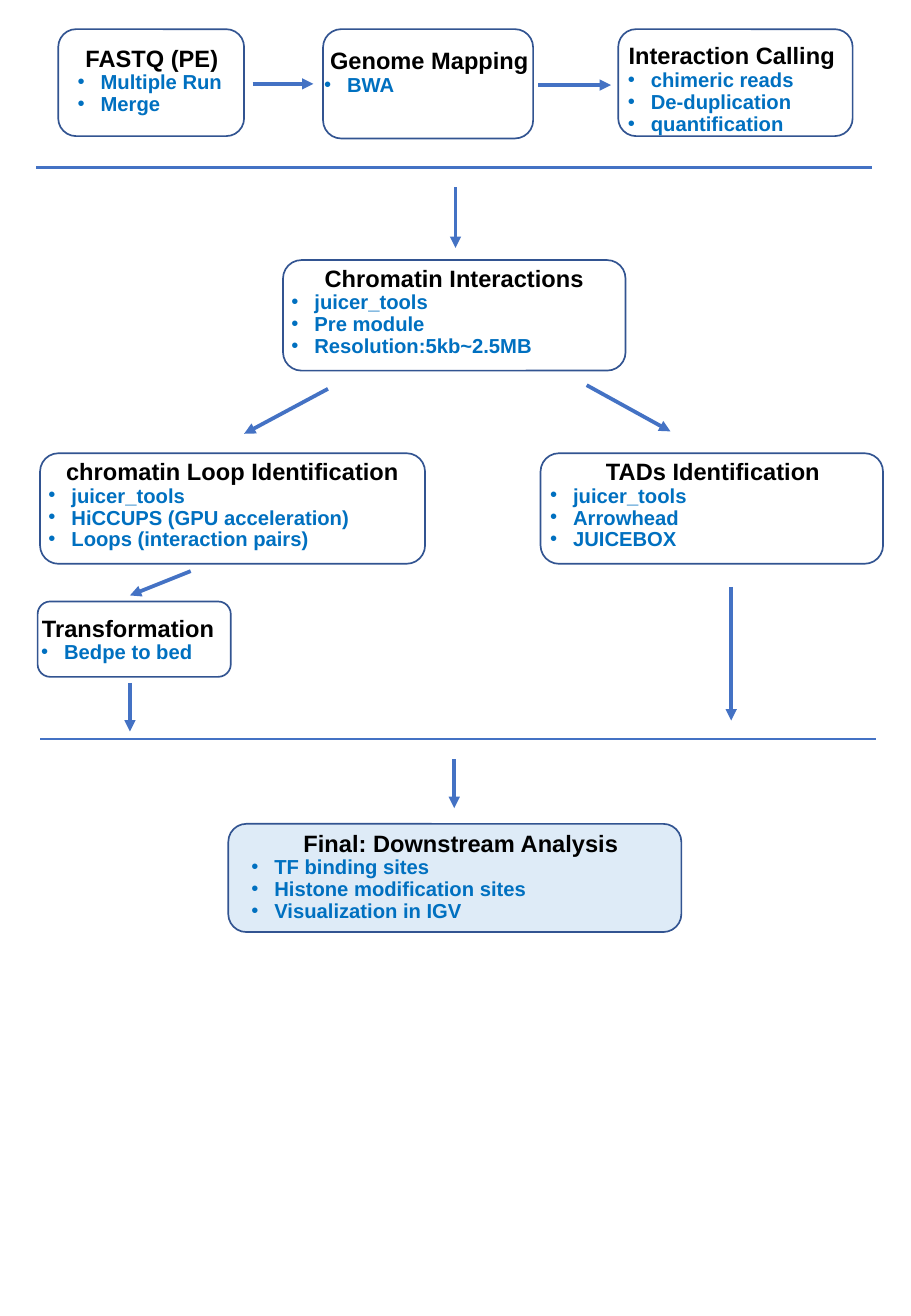
from pptx import Presentation
from pptx.util import Inches, Pt
from pptx.dml.color import RGBColor
from pptx.enum.shapes import MSO_SHAPE, MSO_CONNECTOR
from pptx.enum.text import PP_ALIGN, MSO_ANCHOR
from pptx.oxml.ns import qn
from lxml.etree import SubElement

HUES = {"edge": "325491", "line": "4472C4", "head": "000000",
        "item": "0070C0", "final": "DEEBF7"}


class Chart:
    """Draws a flow chart on a slide grid of 0.1 inch cells."""

    def __init__(self, slide, font="Arial", cell=0.1):
        self.slide, self.font, self.cell = slide, font, cell

    def cells(self, *vals):
        return [Inches(val * self.cell) for val in vals]

    def hue(self, name):
        return RGBColor.from_string(HUES[name])

    def words(self, para, text, size, hue):
        run = para.add_run()
        run.text = text
        run.font.name, run.font.size, run.font.bold = self.font, Pt(size), True
        run.font.color.rgb = self.hue(hue)

    def item(self, para, text):
        para.line_spacing = Pt(13)
        props = para._p.get_or_add_pPr()
        props.set("marL", str(Inches(0.19)))
        props.set("indent", str(-Inches(0.19)))
        SubElement(props, qn("a:buFont")).set("typeface", self.font)
        SubElement(props, qn("a:buChar")).set("char", "•")
        self.words(para, text, 12, "item")

    def step(self, area, place, title, items, wrap=False, fill=None):
        group = self.slide.shapes.add_group_shape().shapes
        box = group.add_shape(MSO_SHAPE.ROUNDED_RECTANGLE, *self.cells(*area))
        box.shadow.inherit = False
        box.line.color.rgb, box.line.width = self.hue("edge"), Pt(1)
        if fill:
            box.fill.solid()
            box.fill.fore_color.rgb = self.hue(fill)
        else:
            box.fill.background()
        high = 3.4 + 1.8 * len(items)
        frame = group.add_textbox(*self.cells(*place, high)).text_frame
        frame.word_wrap, frame.vertical_anchor = wrap, MSO_ANCHOR.TOP
        head = frame.paragraphs[0]
        head.alignment = PP_ALIGN.CENTER
        self.words(head, title, 14, "head")
        for text in items:
            self.item(frame.add_paragraph(), text)

    def line(self, ends, width=1.5, tip=False):
        link = self.slide.shapes.add_connector(
            MSO_CONNECTOR.STRAIGHT, *self.cells(*ends))
        link.line.color.rgb, link.line.width = self.hue("line"), Pt(width)
        props = link._element.spPr
        if tip:
            SubElement(props.find(qn("a:ln")),
                       qn("a:tailEnd")).set("type", "triangle")
        SubElement(props, qn("a:effectLst"))

    def arrow(self, *ends):
        self.line(ends, 2.25, True)


deck = Presentation()
deck.slide_width, deck.slide_height = Inches(7.5), Inches(10.83)
chart = Chart(deck.slides.add_slide(deck.slide_layouts[6]))

STEPS = [
    ((4.8, 2.4, 15.3, 8.8), (5.4, 3.1, 14.2),
     "FASTQ (PE)", ["Multiple Run", "Merge"]),
    ((26.6, 2.4, 17.3, 9), (25.7, 3.3, 19.3), "Genome Mapping", ["BWA"]),
    ((50.9, 2.4, 19.3, 8.8), (50.7, 2.9, 19.1), "Interaction Calling",
     ["chimeric reads", "De-duplication", "quantification"]),
    ((23.3, 21.4, 28.2, 9.1), (23, 21.2, 28.8), "Chromatin Interactions",
     ["juicer_tools", "Pre module", "Resolution:5kb~2.5MB"], True),
    ((3.3, 37.3, 31.7, 9.1), (3, 37.1, 32.3), "chromatin Loop Identification",
     ["juicer_tools", "HiCCUPS (GPU acceleration)",
      "Loops (interaction pairs)"], True),
    ((44.5, 37.3, 28.2, 9.1), (44.3, 37.1, 28.8), "TADs Identification",
     ["juicer_tools", "Arrowhead", "JUICEBOX"], True),
    ((3.1, 49.5, 15.9, 6.2), (2.4, 50, 16.3),
     "Transformation", ["Bedpe to bed"]),
    ((18.8, 67.8, 37.3, 8.9), (19.7, 67.7, 36.5), "Final: Downstream Analysis",
     ["TF binding sites", "Histone modification sites",
      "Visualization in IGV"], True, "final"),
]
for step in STEPS:
    chart.step(*step)

for left, top in [(3, 13.8), (3.3, 60.8)]:
    chart.line((left, top, left + 68.8, top))

for left, top, right in [(20.8, 6.9, 25.8), (44.3, 7, 50.3)]:
    chart.arrow(left, top, right, top)
for mid, top, end in [(37.5, 15.4, 20.4), (60.2, 48.3, 59.3),
                      (10.7, 56.2, 60.2), (37.4, 62.5, 66.5)]:
    chart.arrow(mid, top, mid, end)
for ends in [(27, 32, 20.1, 35.7), (48.3, 31.7, 55.2, 35.5),
             (15.7, 47, 10.7, 49)]:
    chart.arrow(*ends)

deck.save("out.pptx")
